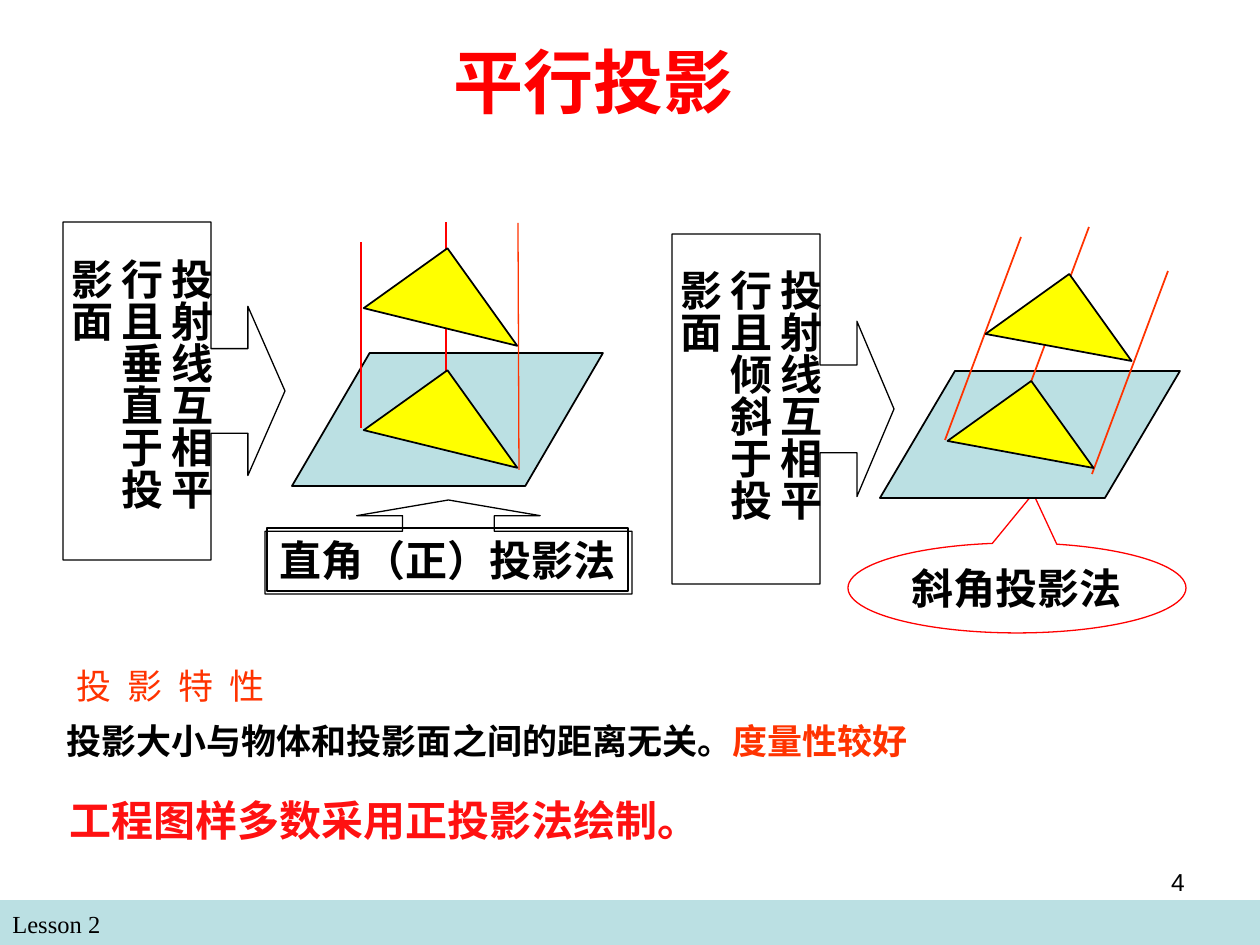
from lxml import etree
from pptx import Presentation
from pptx.dml.color import RGBColor
from pptx.enum.shapes import MSO_CONNECTOR, MSO_SHAPE
from pptx.enum.text import MSO_ANCHOR, MSO_AUTO_SIZE, PP_ALIGN
from pptx.oxml.ns import qn
from pptx.util import Emu, Pt

RECT, PLANE, TRIANGLE = MSO_SHAPE.RECTANGLE, MSO_SHAPE.PARALLELOGRAM, MSO_SHAPE.RIGHT_TRIANGLE
RIGHT_CALLOUT, UP_CALLOUT = MSO_SHAPE.RIGHT_ARROW_CALLOUT, MSO_SHAPE.UP_ARROW_CALLOUT
OVAL_CALLOUT, STRAIGHT = MSO_SHAPE.OVAL_CALLOUT, MSO_CONNECTOR.STRAIGHT
TOP, MIDDLE = MSO_ANCHOR.TOP, MSO_ANCHOR.MIDDLE
LEFT, CENTER, RIGHT = PP_ALIGN.LEFT, PP_ALIGN.CENTER, PP_ALIGN.RIGHT
GROW = MSO_AUTO_SIZE.SHAPE_TO_FIT_TEXT

BLACK = RGBColor(0x00, 0x00, 0x00)
RED = RGBColor(0xFF, 0x00, 0x00)
ORANGE = RGBColor(0xFF, 0x33, 0x00)
BRIGHT_RED = RGBColor(0xFF, 0x11, 0x11)
PALE_BLUE = RGBColor(0xBB, 0xE0, 0xE3)
YELLOW = RGBColor(0xFF, 0xFF, 0x00)
SERIF, SANS, CJK = "Times New Roman", "Arial", "Noto Sans CJK SC"

PX = 914400 / 126
TILT = 144.4  # rotation of every projected triangle, degrees

TITLE = ("平行投影", (441, 32, 420, 97))
# Pieces from back to front: plane (box, slant), ray (from, to, colour, width), triangle (box)
ORTHOGONAL = [
    ("plane", (292, 353, 311, 133), 0.584),
    ("ray", (446, 438), (446, 222), RED, 1),
    ("triangle", (389, 267, 103, 120)),
    ("ray", (519, 470), (518, 223), ORANGE, 0.75),
    ("ray", (361, 428), (361, 242), RED, 1),
    ("triangle", (389, 389, 103, 120)),
]
OBLIQUE = [
    ("plane", (880, 371, 300, 127), 0.591),
    ("ray", (1092, 474), (1168, 271), ORANGE, 1),
    ("ray", (1013, 430), (1089, 227), ORANGE, 1),
    ("ray", (945, 440), (1021, 237), ORANGE, 1),
    ("triangle", (969, 401, 103, 107)),
    ("triangle", (1007, 294, 103, 107)),
]
# Callout box, arrow proportion, text box, text
CONDITIONS = [
    ((63, 222, 222, 338), 0.381, (78, 246, 126, 311), "投射线互相平行且垂直于投影面"),
    ((672, 234, 222, 350), 0.395, (687, 257, 126, 314), "投射线互相平行且倾斜于投影面"),
]
PROPERTIES = ("投 影 特 性", (64, 658, 277, 55))
DISTANCE = ("投影大小与物体和投影面之间的距离无关。", "度量性较好", (54, 713, 901, 55))
CONCLUSION = ("工程图样多数采用正投影法绘制。", (57, 788, 655, 63))

prs = Presentation()
prs.slide_width, prs.slide_height = Emu(round(1260 * PX)), Emu(round(945 * PX))
slide = prs.slides.add_slide(prs.slide_layouts[5])
shapes = slide.shapes


def emu(lengths):
    return [Emu(round(v * PX)) for v in lengths]


def add_shape(kind, box, fill=None, line=None, width=0.75, adjust=()):
    sp = shapes.add_shape(kind, *emu(box))
    sp.shadow.inherit = False
    if fill is None:
        sp.fill.background()
    else:
        sp.fill.solid()
        sp.fill.fore_color.rgb = fill
    if line is None:
        sp.line.fill.background()
    else:
        sp.line.color.rgb = line
        sp.line.width = Pt(width)
    for i, value in enumerate(adjust):
        sp.adjustments[i] = value
    return sp


def add_ray(start, end, color, width):
    ray = shapes.add_connector(STRAIGHT, *emu(start + end))
    ray.line.color.rgb = color
    ray.line.width = Pt(width)
    etree.SubElement(ray.element.spPr, qn("a:effectLst"))


def write(sp, text, size, color=BLACK, bold=True, font=SERIF, anchor=MIDDLE,
          align=LEFT, wrap=True, grow=True):
    tf = sp.text_frame
    tf.word_wrap = wrap
    tf.vertical_anchor = anchor
    if grow:
        tf.auto_size = GROW
    p = tf.paragraphs[0]
    p.alignment = align
    p.font.size, p.font.bold, p.font.name = Pt(size), bold, font
    r = p.add_run()
    r.text = text
    r.font.color.rgb = color
    return p


def add_text(box, text, size, **style):
    sp = shapes.add_textbox(*emu(box))
    return sp, write(sp, text, size, **style)


def draw_projection(pieces):
    for kind, *data in pieces:
        if kind == "ray":
            add_ray(*data)
        elif kind == "plane":
            box, slant = data
            add_shape(PLANE, box, PALE_BLUE, BLACK, 1, [slant])
        else:
            add_shape(TRIANGLE, data[0], YELLOW, BLACK, 1).rotation = TILT


# Footer band
add_shape(RECT, (0, 900, 1260, 45), PALE_BLUE)
add_text((0, 903, 609, 43), "Lesson 2", 14, bold=False, anchor=TOP)

# Projection figures
oval = add_shape(OVAL_CALLOUT, (848, 543, 338, 90), line=RED, adjust=(0.048, -1.05))
write(oval, "斜角投影法", 24, align=CENTER)
draw_projection(ORTHOGONAL)
draw_projection(OBLIQUE)

# Conditions in vertical writing
for box, arrow, text_box, text in CONDITIONS:
    add_shape(RIGHT_CALLOUT, box, line=BLACK, adjust=(arrow, arrow, 0.167, 0.667))
    sp, p = add_text(text_box, text, 24)
    tf = sp.text_frame
    tf.margin_left, tf.margin_top = tf.margin_right, tf.margin_bottom = Pt(3.6), Pt(7.2)
    sp.element.txBody.bodyPr.set("vert", "eaVert")

# Name of the orthogonal method
add_shape(UP_CALLOUT, (265, 500, 367, 94), line=BLACK, adjust=(0.976, 0.976, 0.167, 0.667))
write(add_shape(RECT, (267, 528, 361, 63), line=BLACK), "直角（正）投影法", 24, wrap=False)

# Statements
text, box = PROPERTIES
sp, p = add_text(box, text, 20, color=ORANGE, bold=False, font=CJK)
p.runs[0].font._element.set("spc", "235")

text, verdict, box = DISTANCE
sp, p = add_text(box, text, 20)
r = p.add_run()
r.text = verdict
r.font.color.rgb = ORANGE

text, box = CONCLUSION
add_text(box, text, 24, color=BRIGHT_RED, wrap=False)

# Title and page number
text, box = TITLE
title = shapes.title
title.left, title.top, title.width, title.height = emu(box)
write(title, text, 40, color=RED, anchor=TOP)
add_text((903, 861, 294, 66), "4", 14, bold=False, font=SANS, anchor=TOP, align=RIGHT, grow=False)

prs.save("out.pptx")
